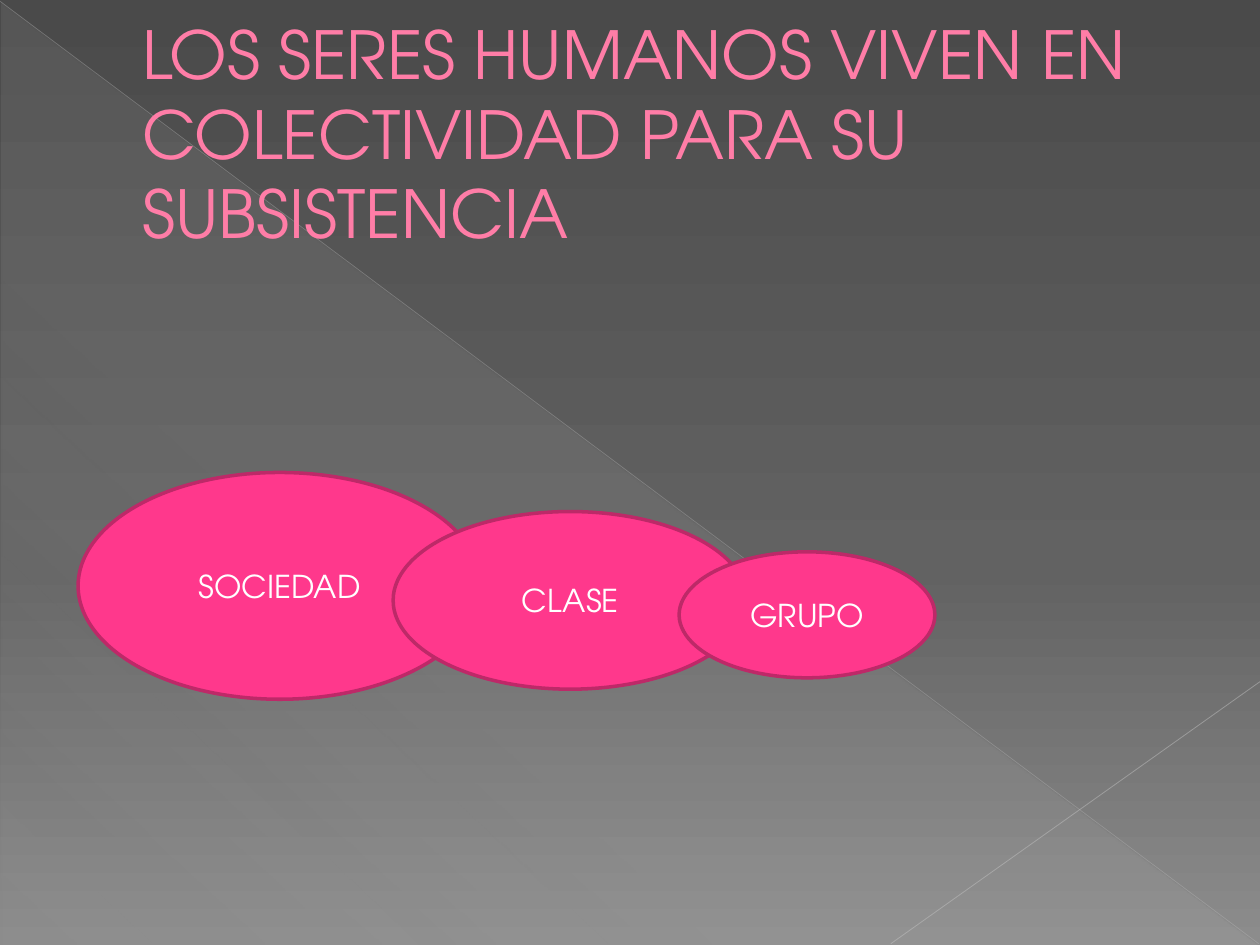
from lxml.etree import SubElement
from pptx import Presentation
from pptx.dml.color import RGBColor
from pptx.enum.shapes import MSO_CONNECTOR as CONN, MSO_SHAPE as SHAPE
from pptx.enum.text import MSO_ANCHOR as ANCHOR, MSO_AUTO_SIZE as FIT, PP_ALIGN as ALIGN
from pptx.oxml.ns import qn
from pptx.util import Inches, Pt

FONT = "TeX Gyre Adventor"
WHITE = RGBColor(0xFF, 0xFF, 0xFF)
PINK = RGBColor(0xFF, 0x38, 0x8C)
DARK_PINK = RGBColor(0xBD, 0x29, 0x68)
TITLE_PINK = RGBColor(0xFF, 0x7D, 0xA7)
CHARCOAL = RGBColor(0x4A, 0x4A, 0x4A)
GREY = RGBColor(0x62, 0x62, 0x62)
LIGHT_GREY = RGBColor(0x8C, 0x8C, 0x8C)
VEIL = RGBColor(0xD2, 0xD2, 0xD2)
LONG_LINE = RGBColor(0xBF, 0xBF, 0xBF)
SHORT_LINE = RGBColor(0xC6, 0xC6, 0xC6)


def set_alpha(clr, percent):
    """Give a colour element an opacity in percent."""
    SubElement(clr, qn("a:alpha"), val=str(percent * 1000))


def set_gradient(fill, element, stops, angle):
    """Fill with (position, colour, opacity) stops at a clockwise angle."""
    fill.gradient()
    grad = next(element.iter(qn("a:gradFill")))
    gs_list = grad.find(qn("a:gsLst"))
    for gs in list(gs_list):
        gs_list.remove(gs)
    for pos, color, opacity in stops:
        gs = SubElement(gs_list, qn("a:gs"), pos=str(pos * 1000))
        set_alpha(SubElement(gs, qn("a:srgbClr"), val=str(color)), opacity)
    grad.find(qn("a:lin")).set("ang", str(angle * 60000))


def write(tf, text, size=18, color=WHITE, align=ALIGN.CENTER, indent=0):
    """Write one formatted paragraph into a text frame."""
    tf.word_wrap = True
    tf.auto_size = FIT.NONE
    tf.vertical_anchor = ANCHOR.MIDDLE
    p = tf.paragraphs[0]
    p.alignment = align
    if indent:
        p._p.get_or_add_pPr().set("marL", str(Inches(indent)))
    r = p.add_run()
    r.text = text
    r.font.name, r.font.size = FONT, Pt(size)
    r.font.color.rgb = color


class Deck:
    """Holds the presentation and its current slide."""

    def __init__(self):
        """Open a 10 by 7.5 inch deck with one title slide."""
        self.prs = Presentation()
        self.prs.slide_width, self.prs.slide_height = Inches(10), Inches(7.5)
        self.s = self.prs.slides.add_slide(self.prs.slide_layouts[5])

    def background(self, stops, angle):
        """Give the slide a gradient background."""
        set_gradient(self.s.background.fill, self.s._element, stops, angle)

    def shape(self, kind, *box):
        """Add a preset shape without shadow."""
        sp = self.s.shapes.add_shape(kind, *map(Inches, box))
        sp.shadow.inherit = False
        return sp

    def veil(self, box, stops, angle):
        """Add the translucent corner triangle."""
        sp = self.shape(SHAPE.RIGHT_TRIANGLE, *box)
        set_gradient(sp.fill, sp._element, stops, angle)
        sp.line.fill.background()

    def line(self, *ends, color, width, opacity):
        """Add a thin translucent line."""
        c = self.s.shapes.add_connector(CONN.STRAIGHT, *map(Inches, ends))
        c.line.width = Pt(width)
        c.line.color.rgb = color
        set_alpha(next(c._element.spPr.iter(qn("a:srgbClr"))), opacity)
        SubElement(c._element.spPr, qn("a:effectLst"))

    def title(self, text, *box):
        """Place the title in front of the decoration."""
        sp = self.s.shapes.title
        sp.left, sp.top, sp.width, sp.height = map(Inches, box)
        self.s.shapes._spTree.append(sp._element)
        write(sp.text_frame, text, 37.8, TITLE_PINK, ALIGN.LEFT, 0.53)

    def ellipse(self, text, *box):
        """Add a labelled pink ellipse."""
        sp = self.shape(SHAPE.OVAL, *box)
        sp.fill.solid()
        sp.fill.fore_color.rgb = PINK
        sp.line.color.rgb = DARK_PINK
        sp.line.width = Pt(2)
        write(sp.text_frame, text)


deck = Deck()
deck.background([(0, CHARCOAL, 100), (60, GREY, 100), (100, LIGHT_GREY, 100)], 90)
deck.veil((0.01, 0.02, 9.98, 7.48), [(0, VEIL, 10), (70, VEIL, 8), (100, VEIL, 1)], 133)
deck.line(0, 0.01, 9.99, 7.49, color=LONG_LINE, width=0.39, opacity=35)
deck.line(10, 5.41, 7.07, 7.49, color=SHORT_LINE, width=0.47, opacity=45)
deck.title("LOS SERES HUMANOS VIVEN EN COLECTIVIDAD PARA SU SUBSISTENCIA",
           0.5, 0.29, 9, 1.53)
for label, *box in [("SOCIEDAD", 0.62, 3.75, 3.2, 1.8),
                    ("CLASE", 3.12, 4.06, 2.81, 1.41),
                    ("GRUPO", 5.39, 4.38, 2.03, 1)]:
    deck.ellipse(label, *box)
deck.prs.save("out.pptx")
